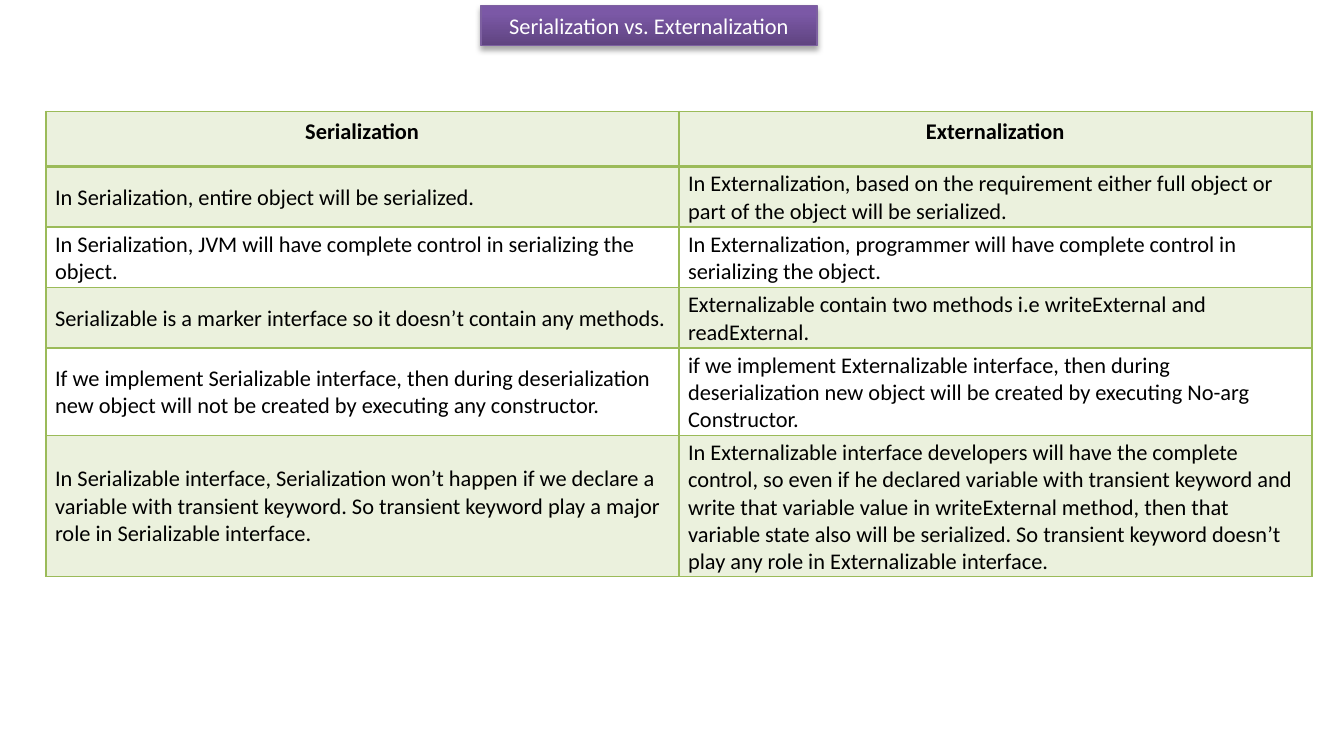
"""Build a slide comparing serialization with externalization in a table."""
from copy import deepcopy
from dataclasses import dataclass

from lxml import etree
from pptx import Presentation
from pptx import util as u
from pptx.dml.color import RGBColor
from pptx.enum import shapes, text
from pptx.oxml import ns

TITLE = "Serialization vs. Externalization"
HEADER = ("Serialization", "Externalization")
ROWS = [
    ("In Serialization, entire object will be serialized.",
     "In Externalization, based on the requirement either full object or part of the "
     "object will be serialized."),
    ("In Serialization, JVM will have complete control in serializing the object.",
     "In Externalization, programmer will have complete control in serializing the object."),
    ("Serializable is a marker interface so it doesn’t contain any methods.",
     "Externalizable contain two methods i.e writeExternal and readExternal."),
    ("If we implement Serializable interface, then during deserialization new object "
     "will not be created by executing any constructor.",
     "if we implement Externalizable interface, then during deserialization new object "
     "will be created by executing No-arg Constructor."),
    ("In Serializable interface, Serialization won’t happen if we declare a variable with "
     "transient keyword. So transient keyword play a major role in Serializable interface.",
     "In Externalizable interface developers will have the complete control, so even if he "
     "declared variable with transient keyword and write that variable value in "
     "writeExternal method, then that variable state also will be serialized. So transient "
     "keyword doesn’t play any role in Externalizable interface."),
]

PX = 9144
SLIDE = (1000, 550)
TITLE_BOX = (358, 4, 250, 30)
TABLE_AT = (34, 83)
COL_WIDTH = 471
ROW_HEIGHTS = (41, 45, 45, 45, 65, 105)
BODY_INSETS = {"margin_left": 7, "margin_top": 3, "margin_right": 7, "margin_bottom": 2}


@dataclass(frozen=True)
class Theme:
    font: str = "Calibri"
    size: int = 12
    title_text: str = "FFFFFF"
    title_line: str = "7D60A0"
    title_stops: tuple = ((0, "5F4480"), (0.8, "7B58A6"), (1, "7C57A8"))
    shadow: str = "000000"
    ink: str = "000000"
    header_fill: str = "EBF1DE"
    green: str = "9BBB59"
    band_alpha: int = 20


THEME = Theme()


def px(*values):
    return [u.Emu(v * PX) for v in values]


def add(parent, tag, **attrs):
    return etree.SubElement(parent, ns.qn(tag), {k: str(v) for k, v in attrs.items()})


def write(tf, content, color, bold=False, align=text.PP_ALIGN.LEFT):
    p = tf.paragraphs[0]
    p.text, p.alignment = content, align
    p.font.name, p.font.size, p.font.bold = THEME.font, u.Pt(THEME.size), bold
    p.font.color.rgb = RGBColor.from_string(color)


def add_title(s):
    sp = s.shapes.add_shape(shapes.MSO_SHAPE.RECTANGLE, *px(*TITLE_BOX))
    sp.fill.gradient()
    sp.fill.gradient_angle = 90
    stop_list = next(sp.element.spPr.iter(ns.qn("a:gsLst")))
    stop_list.append(deepcopy(stop_list[0]))
    for stop, (position, color) in zip(sp.fill.gradient_stops, THEME.title_stops):
        stop.position, stop.color.rgb = position, RGBColor.from_string(color)
    sp.line.color.rgb = RGBColor.from_string(THEME.title_line)
    sp.line.width = u.Pt(0.75)
    sp.shadow.inherit = False
    effects = sp.element.spPr.find(ns.qn("a:effectLst"))
    shadow = add(effects, "a:outerShdw", blurRad=u.Pt(3.1), dist=u.Pt(1.8),
                 dir=5400000, rotWithShape=0)
    add(add(shadow, "a:srgbClr", val=THEME.shadow), "a:alpha", val=35000)
    tf = sp.text_frame
    tf.word_wrap, tf.auto_size = True, text.MSO_AUTO_SIZE.SHAPE_TO_FIT_TEXT
    write(tf, TITLE, THEME.title_text, align=text.PP_ALIGN.CENTER)


def set_borders(cell, row):
    widths = {"L": 1, "R": 1, "T": 2 if row == 1 else 1, "B": 2 if row == 0 else 1}
    tc_pr = cell._tc.get_or_add_tcPr()
    for side, width in widths.items():
        ln = add(tc_pr, f"a:ln{side}", w=u.Pt(width))
        add(add(ln, "a:solidFill"), "a:srgbClr", val=THEME.green)


def set_fill(cell, row):
    if row and row % 2 == 0:
        cell.fill.background()
        return
    cell.fill.solid()
    cell.fill.fore_color.rgb = RGBColor.from_string(THEME.green if row else THEME.header_fill)
    if row:
        color = cell._tc.tcPr.find(ns.qn("a:solidFill"))[0]
        add(color, "a:alpha", val=THEME.band_alpha * 1000)


def add_comparison(s):
    content = [HEADER, *ROWS]
    size = (COL_WIDTH * len(HEADER), sum(ROW_HEIGHTS))
    table = s.shapes.add_table(len(content), len(HEADER), *px(*TABLE_AT, *size)).table
    table.first_row = table.horz_banding = False
    for column in table.columns:
        column.width = u.Emu(COL_WIDTH * PX)
    for i, (height, words) in enumerate(zip(ROW_HEIGHTS, content)):
        table.rows[i].height = u.Emu(height * PX)
        for j, word in enumerate(words):
            cell = table.cell(i, j)
            set_borders(cell, i)
            set_fill(cell, i)
            if i:
                cell.vertical_anchor = text.MSO_ANCHOR.MIDDLE
                for name, inset in BODY_INSETS.items():
                    setattr(cell, name, u.Emu(inset * PX))
            align = text.PP_ALIGN.LEFT if i else text.PP_ALIGN.CENTER
            write(cell.text_frame, word, THEME.ink, bold=i == 0, align=align)


def main():
    prs = Presentation()
    prs.slide_width, prs.slide_height = px(*SLIDE)
    s = prs.slides.add_slide(prs.slide_layouts[6])
    add_title(s)
    add_comparison(s)
    prs.save("out.pptx")


if __name__ == "__main__":
    main()
